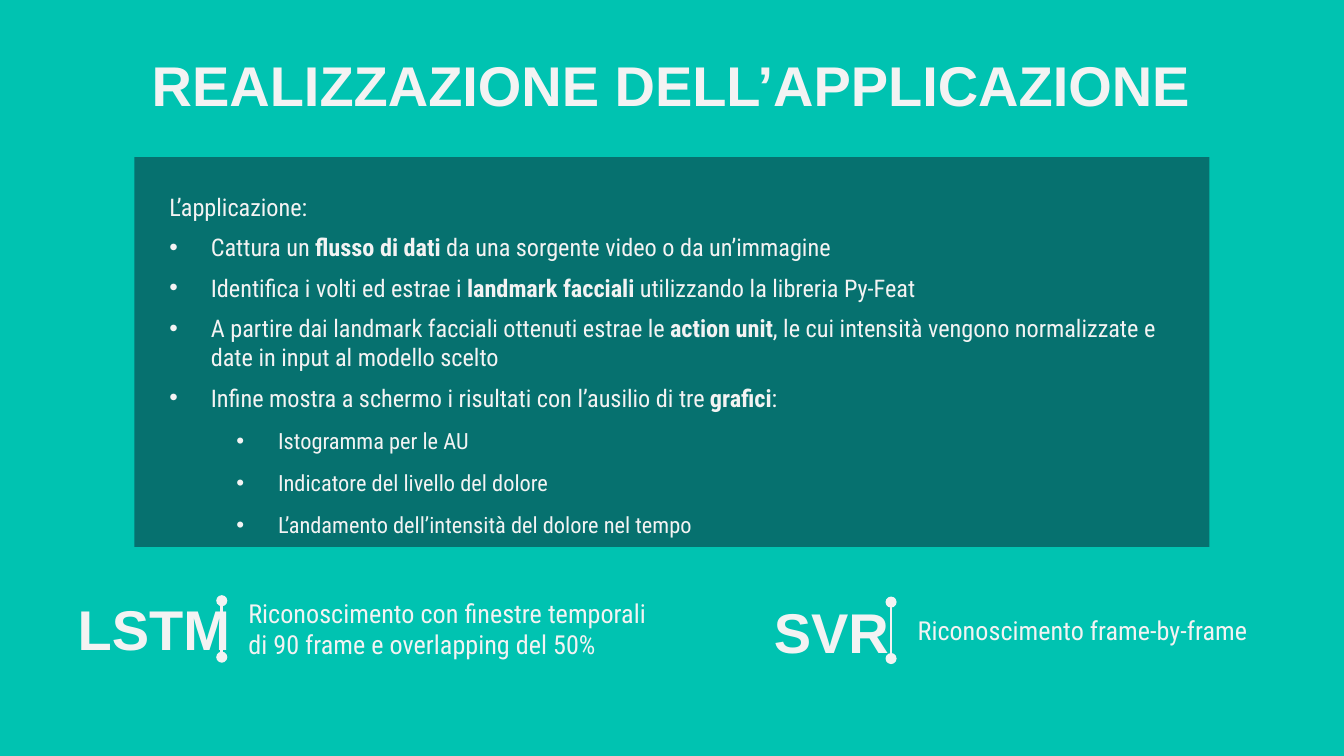
from lxml import etree
from pptx import Presentation
from pptx.dml.color import RGBColor
from pptx.enum.shapes import MSO_CONNECTOR, MSO_SHAPE
from pptx.enum.text import MSO_ANCHOR, PP_ALIGN
from pptx.oxml.ns import qn
from pptx.util import Inches, Pt

TEAL = RGBColor(0x00, 0xC3, 0xB1)
DARK_TEAL = RGBColor(0x0C, 0x34, 0x3D)
OFF_WHITE = RGBColor(0xF3, 0xF3, 0xF3)

HEADING_FONT = "Arial"
BODY_FONT = "Roboto Condensed"
PANEL_OPACITY = 57

STRAIGHT = MSO_CONNECTOR.STRAIGHT
RECTANGLE = MSO_SHAPE.RECTANGLE
TOP = MSO_ANCHOR.TOP
MIDDLE = MSO_ANCHOR.MIDDLE
LEFT = PP_ALIGN.LEFT
CENTER = PP_ALIGN.CENTER

INTRO = "L’applicazione:"
STEPS = [
    "Cattura un |flusso di dati |da una sorgente video o da un’immagine",
    "Identifica i volti ed estrae i |landmark facciali |utilizzando la libreria Py-Feat",
    "A partire dai landmark facciali ottenuti estrae le |action unit|, le cui intensità "
    "vengono normalizzate e date in input al modello scelto",
    "Infine mostra a schermo i risultati con l’ausilio di tre |grafici|:",
]
CHARTS = [
    "Istogramma per le AU",
    "Indicatore del livello del dolore",
    "L’andamento dell’intensità del dolore nel tempo",
]


def set_font(para, name, size, bold=None):
    """Give a paragraph its typeface, size and colour."""
    para.font.name = name
    para.font.size = Pt(size)
    para.font.bold = bold
    para.font.color.rgb = OFF_WHITE


def add_text(page, text, bounds, font, size, bold=None, anchor=MIDDLE, align=LEFT):
    """Add a wrapped text box holding one paragraph."""
    box = page.shapes.add_textbox(*map(Inches, bounds))
    frame = box.text_frame
    frame.word_wrap = True
    frame.vertical_anchor = anchor
    frame.margin_left = frame.margin_right = Inches(0.1)
    frame.margin_top = frame.margin_bottom = Inches(0.1)
    para = frame.paragraphs[0]
    para.text = text
    para.alignment = align
    set_font(para, font, size, bold)


def add_bullet(para, indent):
    """Give a paragraph a round bullet with a hanging indent."""
    properties = para._p.get_or_add_pPr()
    properties.set("marL", str(Inches(indent)))
    properties.set("indent", str(Inches(-0.31)))
    color = etree.SubElement(properties, qn("a:buClr"))
    etree.SubElement(color, qn("a:srgbClr"), val=str(OFF_WHITE))
    etree.SubElement(properties, qn("a:buFont"), typeface=HEADING_FONT)
    etree.SubElement(properties, qn("a:buChar"), char="•")


def add_spans(para, marked_text):
    """Add runs split at bars, every second one bold."""
    for index, part in enumerate(marked_text.split("|")):
        span = para.add_run()
        span.text = part
        if index % 2:
            span.font.bold = True


def add_panel(page):
    """Add the translucent panel with the steps of the application."""
    panel = page.shapes.add_shape(RECTANGLE, Inches(1), Inches(1.17), Inches(8), Inches(2.9))
    panel.shadow.inherit = False
    panel.line.fill.background()
    panel.fill.solid()
    panel.fill.fore_color.rgb = DARK_TEAL
    color = panel._element.spPr.find(qn("a:solidFill"))[0]
    etree.SubElement(color, qn("a:alpha"), val=str(PANEL_OPACITY * 1000))

    frame = panel.text_frame
    frame.word_wrap = True
    frame.vertical_anchor = TOP
    frame.margin_left = frame.margin_top = frame.margin_right = Inches(0.26)
    frame.margin_bottom = Inches(0.1)

    intro = frame.paragraphs[0]
    intro.text = INTRO
    intro.alignment = LEFT
    intro.space_after = Pt(6)
    set_font(intro, BODY_FONT, 13)

    for step in STEPS:
        para = frame.add_paragraph()
        para.alignment = LEFT
        para.space_after = Pt(0 if step == STEPS[-1] else 6)
        add_bullet(para, 0.31)
        add_spans(para, step)
        set_font(para, BODY_FONT, 13)

    for chart in CHARTS:
        para = frame.add_paragraph()
        para.text = chart
        para.level = 1
        para.alignment = LEFT
        para.line_spacing = 1.15
        para.space_before = Pt(6)
        add_bullet(para, 0.81)
        set_font(para, BODY_FONT, 12)


def add_divider(page, left, top):
    """Add a vertical line with round ends."""
    divider = page.shapes.add_connector(
        STRAIGHT, Inches(left), Inches(top), Inches(left), Inches(top + 0.42)
    )
    divider.line.color.rgb = OFF_WHITE
    divider.line.width = Pt(1.5)
    outline = divider.line._get_or_add_ln()
    for end in ("a:headEnd", "a:tailEnd"):
        etree.SubElement(outline, qn(end), type="oval")
    etree.SubElement(divider._element.spPr, qn("a:effectLst"))


def add_model(page, name, description, name_bounds, divider_left, divider_top):
    """Add a model name, a divider and the description beside it."""
    add_text(page, name, name_bounds, HEADING_FONT, 30, bold=True)
    add_text(page, description, (divider_left + 0.1, divider_top - 0.14, 3.26, 0.69),
             BODY_FONT, 14)
    add_divider(page, divider_left, divider_top)


def main():
    """Build and save the slide."""
    deck = Presentation()
    deck.slide_width = Inches(10)
    deck.slide_height = deck.slide_width * 9 // 16
    page = deck.slides.add_slide(deck.slide_layouts[6])
    page.background.fill.solid()
    page.background.fill.fore_color.rgb = TEAL

    add_panel(page)
    add_text(page, "REALIZZAZIONE DELL’APPLICAZIONE", (0.78, 0.28, 8.43, 0.63),
             HEADING_FONT, 30, bold=True, anchor=TOP, align=CENTER)
    add_model(page, "LSTM",
              "Riconoscimento con finestre temporali di 90 frame e overlapping del 50%",
              (0.48, 3.43, 2.15, 2.49), 1.65, 4.47)
    add_model(page, "SVR", "Riconoscimento frame-by-frame",
              (5.66, 3.45, 2.18, 2.49), 6.63, 4.48)
    deck.save("out.pptx")


if __name__ == "__main__":
    main()
